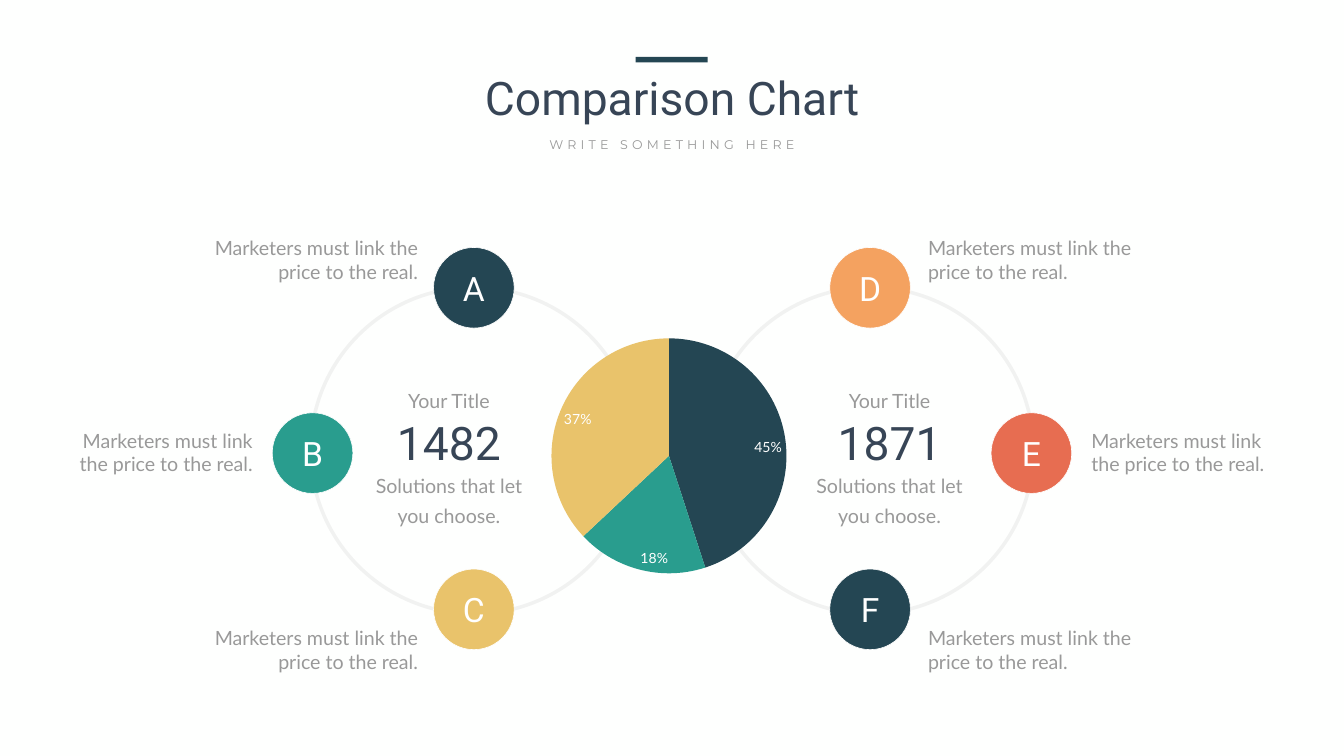
from dataclasses import dataclass

from lxml.etree import SubElement
from pptx import Presentation
from pptx.chart.data import CategoryChartData
from pptx.dml.color import RGBColor
from pptx.enum.chart import XL_CHART_TYPE, XL_LABEL_POSITION
from pptx.enum.shapes import MSO_SHAPE
from pptx.enum.text import MSO_ANCHOR, MSO_AUTO_SIZE, PP_ALIGN
from pptx.oxml import parse_xml
from pptx.oxml.ns import nsdecls, qn
from pptx.util import Inches, Pt


@dataclass(frozen=True)
class Theme:
    # Colours
    background: str = "FEFFFE"
    white: str = "FFFFFF"
    heading: str = "374556"
    text: str = "999999"
    ring: str = "808080"
    navy: str = "244653"
    teal: str = "299D8E"
    yellow: str = "E9C36B"
    orange: str = "F4A260"
    red: str = "E76D51"
    # Fonts
    display: str = "Roboto"
    body: str = "Lato"
    accent: str = "Montserrat"
    # Type sizes in points
    title_size: int = 66
    letter_size: int = 48
    body_size: int = 28
    chart_size: int = 20
    subtitle_size: int = 18


class SlideBuilder:
    def __init__(self, page, theme):
        self.page = page
        self.theme = theme
        page.background.fill.solid()
        page.background.fill.fore_color.rgb = RGBColor.from_string(theme.background)

    def style(self, font, name, size, color):
        font.name = name
        font.size = Pt(size)
        font.color.rgb = RGBColor.from_string(color)

    def set_text(self, shape, text, name, size, color, align=PP_ALIGN.CENTER,
                 anchor=MSO_ANCHOR.TOP, line_spacing=None, tracking=None):
        frame = shape.text_frame
        frame.text = text
        frame.word_wrap = True
        frame.auto_size = MSO_AUTO_SIZE.NONE
        frame.vertical_anchor = anchor
        paragraph = frame.paragraphs[0]
        paragraph.alignment = align
        if line_spacing:
            paragraph.line_spacing = Pt(line_spacing)
        span = paragraph.runs[0]
        self.style(span.font, name, size, color)
        if tracking:
            span.font._element.set("spc", str(tracking * 100))

    def title(self, text, left, top, width, height):
        shape = self.page.shapes.title
        shape.left, shape.top = Inches(left), Inches(top)
        shape.width, shape.height = Inches(width), Inches(height)
        self.set_text(shape, text, self.theme.display, self.theme.title_size,
                      self.theme.heading)

    def text(self, text, left, top, width, height, name, size, color, **options):
        box = self.page.shapes.add_textbox(
            Inches(left), Inches(top), Inches(width), Inches(height))
        self.set_text(box, text, name, size, color, **options)

    def body(self, text, left, top, width, height, **options):
        self.text(text, left, top, width, height, self.theme.body,
                  self.theme.body_size, self.theme.text, **options)

    def bar(self, left, top, width, height, color):
        shape = self.page.shapes.add_shape(
            MSO_SHAPE.RECTANGLE, Inches(left), Inches(top), Inches(width), Inches(height))
        shape.shadow.inherit = False
        shape.fill.solid()
        shape.fill.fore_color.rgb = RGBColor.from_string(color)
        shape.line.fill.background()

    def circle(self, center_x, center_y, size, line_color, line_width):
        shape = self.page.shapes.add_shape(
            MSO_SHAPE.OVAL, Inches(center_x - size / 2), Inches(center_y - size / 2),
            Inches(size), Inches(size))
        shape.shadow.inherit = False
        shape.line.color.rgb = RGBColor.from_string(line_color)
        shape.line.width = Pt(line_width)
        return shape

    def ring(self, center_x, center_y, size):
        shape = self.circle(center_x, center_y, size, self.theme.ring, 5)
        shape.fill.background()
        color = shape.line._ln.find(".//" + qn("a:srgbClr"))
        SubElement(color, qn("a:alpha")).set("val", "10000")

    def badge(self, letter, center_x, center_y, color):
        shape = self.circle(center_x, center_y, 1.6, self.theme.white, 0.85)
        shape.fill.solid()
        shape.fill.fore_color.rgb = RGBColor.from_string(color)
        frame = shape.text_frame
        frame.margin_left = frame.margin_right = frame.margin_top = frame.margin_bottom = 0
        self.set_text(shape, letter, self.theme.display, self.theme.letter_size,
                      self.theme.white, anchor=MSO_ANCHOR.MIDDLE)

    def pie(self, values, colors, left, top, width, height):
        theme = self.theme
        data = CategoryChartData()
        data.categories = [str(number + 1) for number in range(len(values))]
        data.add_series("Series 1", values)
        chart = self.page.shapes.add_chart(
            XL_CHART_TYPE.PIE, Inches(left), Inches(top), Inches(width), Inches(height),
            data).chart
        chart.has_title = False
        chart.has_legend = False
        self.style(chart.font, theme.body, theme.chart_size, theme.text)
        plot = chart.plots[0]
        plot.vary_by_categories = True
        for index, color in enumerate(colors):
            point = plot.series[0].points[index]
            point.format.fill.solid()
            point.format.fill.fore_color.rgb = RGBColor.from_string(color)
            point.format.line.fill.background()
        plot.has_data_labels = True
        labels = plot.data_labels
        labels.show_percentage = True
        labels.show_value = False
        labels.number_format = "0%"
        labels.number_format_is_linked = False
        labels.position = XL_LABEL_POSITION.INSIDE_END
        self.style(labels.font, theme.body, theme.chart_size, theme.white)
        # Let the pie nearly fill its frame
        area = chart._chartSpace.find(".//" + qn("c:plotArea"))
        for layout in area.findall(qn("c:layout")):
            area.remove(layout)
        area.insert(0, parse_xml(
            f'<c:layout {nsdecls("c")}><c:manualLayout><c:layoutTarget val="inner"/>'
            '<c:xMode val="edge"/><c:yMode val="edge"/><c:x val="0.03"/><c:y val="0.03"/>'
            '<c:w val="0.94"/><c:h val="0.94"/></c:manualLayout></c:layout>'))


def main():
    theme = Theme()
    deck = Presentation()
    deck.slide_width, deck.slide_height = Inches(26.66), Inches(15)
    builder = SlideBuilder(deck.slides.add_slide(deck.slide_layouts[5]), theme)

    # Heading
    builder.title("Comparison Chart", 7.74, 1.32, 11.19, 1.21)
    builder.text("WRITE SOMETHING HERE", 10.35, 2.66, 5.96, 0.4, theme.accent,
                 theme.subtitle_size, theme.text, tracking=6)
    builder.bar(12.61, 1.13, 1.43, 0.11, theme.navy)

    # Rings, mirrored about the middle of the slide
    ring_left, ring_right = 9.4, 17.26
    for center_x in (ring_left, ring_right):
        builder.ring(center_x, 8.94, 6.48)

    # Lettered badges with captions
    upper, middle, lower = 5.71, 8.99, 12.09
    left, right = PP_ALIGN.LEFT, PP_ALIGN.RIGHT
    items = [
        ("A", theme.navy, ring_left, upper, 3.6, 4.64, 4.79, right),
        ("B", theme.teal, 6.2, middle, 0.99, 8.46, 4.12, right),
        ("C", theme.yellow, ring_left, lower, 3.6, 12.37, 4.79, right),
        ("D", theme.orange, ring_right, upper, 18.31, 4.64, 4.79, left),
        ("E", theme.red, 20.46, middle, 21.55, 8.46, 4.12, left),
        ("F", theme.navy, ring_right, lower, 18.31, 12.37, 4.79, left),
    ]
    for letter, color, center_x, center_y, text_left, text_top, width, align in items:
        builder.badge(letter, center_x, center_y, color)
        builder.body("Marketers must link the price to the real.",
                     text_left, text_top, width, 1.04, align=align)

    # Pie chart
    builder.pie((45, 18, 37), (theme.navy, theme.teal, theme.yellow),
                10.79, 6.56, 4.96, 4.97)

    # Totals inside the rings
    for total, text_left in (("1482", 7.22), ("1871", 15.96)):
        builder.body("Your Title", text_left, 7.53, 3.37, 0.65, line_spacing=43)
        builder.text(total, text_left - 0.52, 8.18, 4.41, 1.21, theme.display,
                     theme.title_size, theme.heading)
        builder.body("Solutions that let you choose.", text_left, 9.22, 3.37, 1.25,
                     line_spacing=43)

    deck.save("out.pptx")


if __name__ == "__main__":
    main()
